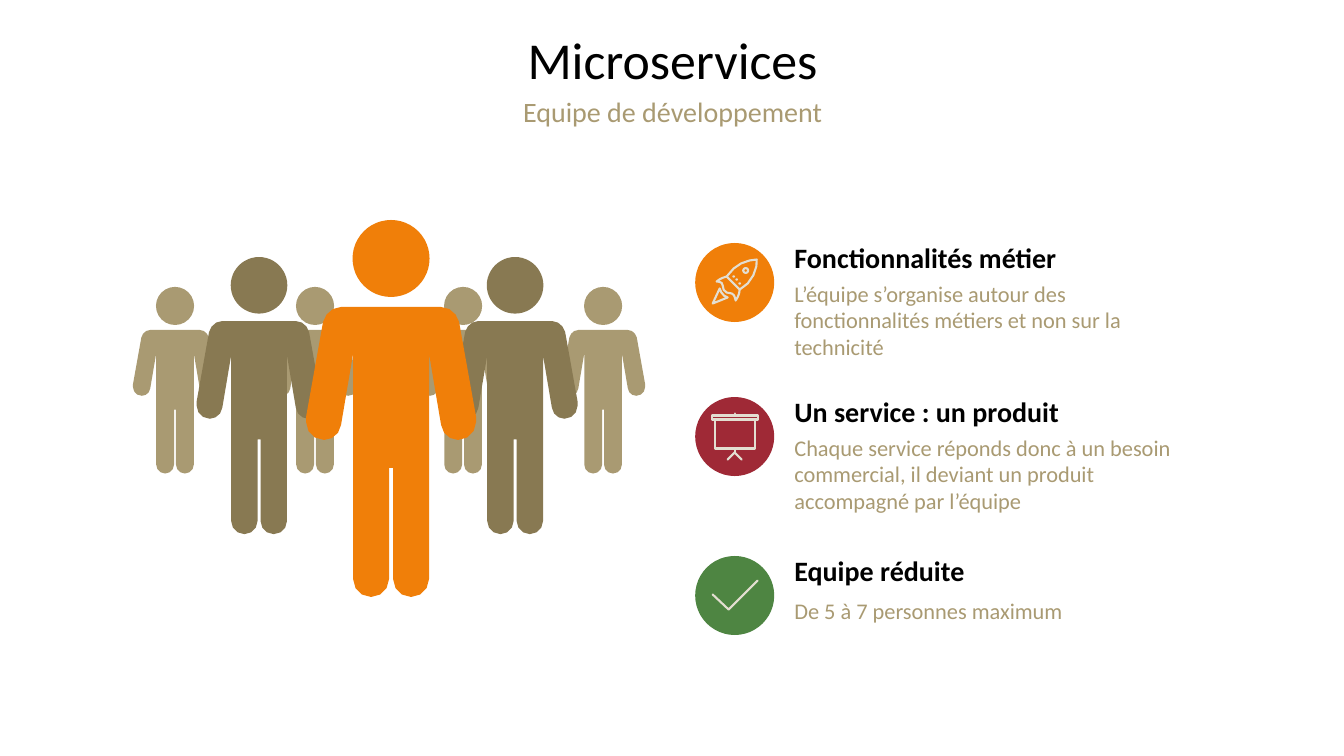
from dataclasses import dataclass
from math import cos, pi, sin

from lxml.etree import SubElement
from pptx import Presentation
from pptx.dml.color import RGBColor
from pptx.enum.shapes import MSO_SHAPE
from pptx.enum.text import MSO_ANCHOR, MSO_AUTO_SIZE, PP_ALIGN
from pptx.oxml.ns import qn
from pptx.util import Inches, Pt

PX = Inches(1) / 100.8
ORANGE, RED, GREEN = "F07F09", "9F2936", "4E8542"
SAND, BROWN, CREAM, BLACK = "A99A72", "887952", "E3DED1", "000000"

Point = tuple[float, float]
Contour = list[Point]


@dataclass
class Person:
    x: int
    top: int
    scale: float
    color: str


@dataclass
class Topic:
    top: int
    body_top: int
    color: str
    heading: str
    body: str
    icon: list[Contour]


def px(n: float) -> int:
    return round(n * PX)


def paint(fmt, color: str) -> None:
    fmt.solid()
    fmt.fore_color.rgb = RGBColor.from_string(color)


# Outlines
def curve(*ctrl: Point, steps: int = 3) -> Contour:
    """Points on a cubic Bezier curve, without its start."""
    pts = []
    for i in range(1, steps + 1):
        t = i / steps
        weights = ((1 - t) ** 3, 3 * t * (1 - t) ** 2, 3 * t * t * (1 - t), t ** 3)
        pts.append((sum(w * c[0] for w, c in zip(weights, ctrl)),
                    sum(w * c[1] for w, c in zip(weights, ctrl))))
    return pts


def ring(x: float, y: float, radius: float, steps: int) -> Contour:
    angles = [2 * pi * i / steps for i in range(steps + 1)]
    return [(x + radius * cos(a), y + radius * sin(a)) for a in angles]


def box(left: int, top: int, right: int, bottom: int) -> Contour:
    return [(left, top), (right, top), (right, bottom), (left, bottom), (left, top)]


HALF_BODY = [
    (50, 0), *curve((50, 0), (59, 0), (66, 7), (68, 15)),   # shoulder
    (85, 110), (85, 115),                                   # sleeve
    *curve((85, 115), (85, 125), (77, 133), (67, 133)),     # hand
    *curve((67, 133), (59, 133), (51, 127), (50, 118)),
    (38, 47), (38, 272),
    *curve((38, 272), (38, 282), (30, 290), (20, 290)),     # foot
    *curve((20, 290), (10, 290), (2, 282), (2, 272)),
    (2, 161),
]
BODY = HALF_BODY + [(-x, y) for x, y in reversed(HALF_BODY)]
HEAD_SIZE, HEAD_RISE = 77, 87

ROCKET = [
    [(22, -23), *curve((22, -23), (16, -23), (5, -20), (-1, -14)), (-8, -6), (5, 7), (13, 1),
     *curve((13, 1), (20, -6), (23, -18), (22, -23))],
    [(-8, -6), *curve((-8, -6), (-12, -5), (-16, -3), (-18, -1)),
     *curve((-18, -1), (-15, -1), (-12, 0), (-12, 3)),
     *curve((-12, 3), (-12, 8), (-9, 11), (-3, 11)),
     *curve((-3, 11), (0, 12), (0, 15), (1, 18)),
     *curve((1, 18), (3, 15), (5, 11), (5, 7))],
    [(-15, 6), (-22, 21), (-7, 15), *curve((-7, 15), (-11, 14), (-14, 10), (-15, 6))],
    ring(11, -12, 2.5, 8),
    *(ring(x, y, 0.3, 3) for x, y in [(-1, -6), (2, -3), (5, 1)]),
]
BOARD = [
    box(-23, -21, 23, -17), box(-20, -17, 20, 12),
    [(0, -23), (0, -21)], [(0, 12), (0, 16)], [(-7, 23), (0, 16), (7, 23)],
]
CHECK = [[(-22, -1), (-6, 14), (23, -15)]]

# Content
PEOPLE = [
    *(Person(x, 330, 0.495, SAND) for x in (603, 463, 315, 175)),
    *(Person(x, 321, 0.735, BROWN) for x in (515, 259)),
    Person(391, 307, 1, ORANGE),
]
TOPICS = [
    Topic(243, 299, ORANGE, "Fonctionnalités métier",
          "L’équipe s’organise autour des fonctionnalités métiers et non sur la technicité", ROCKET),
    Topic(397, 453, RED, "Un service : un produit",
          "Chaque service réponds donc à un besoin commercial, il deviant un produit "
          "accompagné par l’équipe", BOARD),
    Topic(556, 590, GREEN, "Equipe réduite", "De 5 à 7 personnes maximum", CHECK),
]
DISC, DISC_LEFT = 79, 695
TEXT_LEFT, TEXT_WIDTH = 774, 440


# Drawing
def add_disc(shapes, left: float, top: float, size: float, color: str) -> None:
    sp = shapes.add_shape(MSO_SHAPE.OVAL, px(left), px(top), px(size), px(size))
    sp.shadow.inherit = False
    paint(sp.fill, color)
    sp.line.fill.background()


def add_outline(shapes, contours: list[Contour], x: float, y: float, scale: float = 1):
    placed = [[(px(x + a * scale), px(y + b * scale)) for a, b in c] for c in contours]
    builder = shapes.build_freeform(*placed[0][0], scale=1.0)
    for i, pts in enumerate(placed):
        if i:
            builder.move_to(*pts[0])
        builder.add_line_segments(pts[1:], close=False)
    sp = builder.convert_to_shape()
    sp.shadow.inherit = False
    return sp


def add_person(shapes, person: Person) -> None:
    size = HEAD_SIZE * person.scale
    add_disc(shapes, person.x - size / 2, person.top - HEAD_RISE * person.scale, size, person.color)
    sp = add_outline(shapes, [BODY + BODY[:1]], person.x, person.top, person.scale)
    paint(sp.fill, person.color)
    sp.line.fill.background()


def add_icon(shapes, contours: list[Contour], x: float, y: float) -> None:
    sp = add_outline(shapes, contours, x, y)
    sp.fill.background()
    paint(sp.line.fill, CREAM)
    sp.line.width = Pt(1.5)
    ln = sp.element.spPr.get_or_add_ln()
    ln.set("cap", "rnd")
    SubElement(ln, qn("a:round"))


def write(sp, area: tuple[int, int, int, int], text: str, size: int, color: str,
          frame: dict, para: dict, bold: bool = False) -> None:
    sp.left, sp.top, sp.width, sp.height = map(px, area)
    tf = sp.text_frame
    p = tf.paragraphs[0]
    r = p.add_run()
    r.text = text
    font = {"name": "Calibri", "size": Pt(size), "bold": bold}
    base = {"word_wrap": True, "auto_size": MSO_AUTO_SIZE.NONE}
    for target, values in ((tf, base | frame), (p, para), (r.font, font)):
        for name, value in values.items():
            setattr(target, name, value)
    paint(r.font.fill, color)


def add_topic(shapes, topic: Topic) -> None:
    add_disc(shapes, DISC_LEFT, topic.top, DISC, topic.color)
    add_icon(shapes, topic.icon, DISC_LEFT + DISC / 2, topic.top + DISC / 2)
    frame = {"vertical_anchor": MSO_ANCHOR.MIDDLE,
             "margin_left": Inches(0.2), "margin_right": Inches(0.2),
             "margin_top": Inches(0.1), "margin_bottom": Inches(0.1)}
    for top, height, text, size, color, bold in (
            (topic.top - 5, 38, topic.heading, 20, BLACK, True),
            (topic.body_top, 42, topic.body, 16, SAND, False)):
        write(shapes.add_textbox(0, 0, 0, 0), (TEXT_LEFT, top, TEXT_WIDTH, height),
              text, size, color, frame, {}, bold)


prs = Presentation()
prs.slide_width, prs.slide_height = Inches(13.33), Inches(7.5)
s = prs.slides.add_slide(prs.slide_layouts[5])

# Title and subtitle
centred = {"alignment": PP_ALIGN.CENTER, "line_spacing": 0.9}
write(s.shapes.title, (118, 35, 1109, 56), "Microservices", 37, BLACK,
      {"vertical_anchor": MSO_ANCHOR.MIDDLE}, centred)
write(s.shapes.add_textbox(0, 0, 0, 0), (118, 93, 1109, 28), "Equipe de développement",
      20, SAND, {"vertical_anchor": MSO_ANCHOR.TOP}, centred)

# Team, from the back row to the front
for member in PEOPLE:
    add_person(s.shapes, member)

# Topics
for item in TOPICS:
    add_topic(s.shapes, item)

prs.save("out.pptx")
